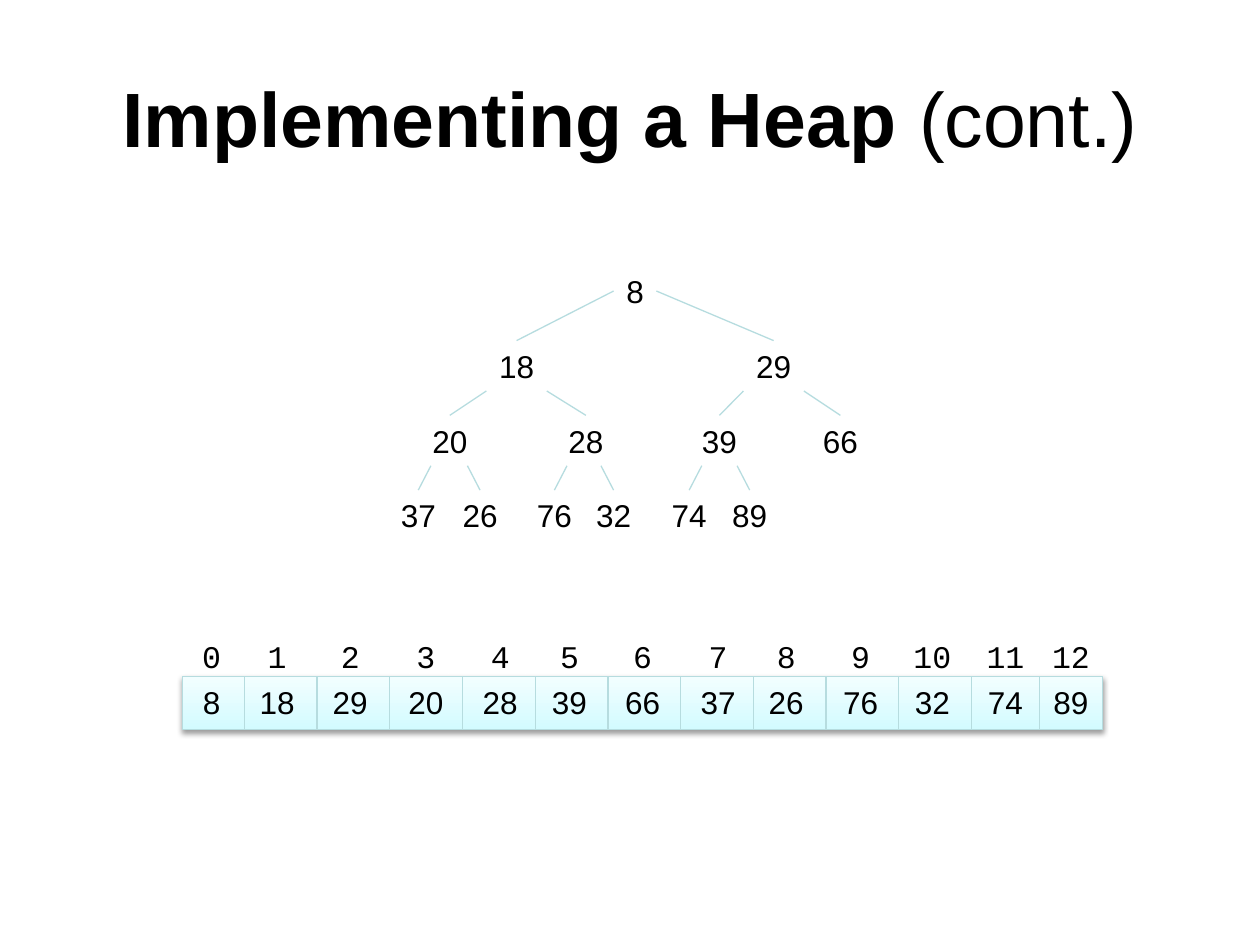
from lxml import etree
from pptx import Presentation, util as u
from pptx.dml.color import RGBColor
from pptx.enum import shapes, text as t
from pptx.oxml import ns

BLACK = RGBColor(0, 0, 0)
EDGE = RGBColor(0xB6, 0xDC, 0xDF)
DEEP = RGBColor(0xD3, 0xFB, 0xFF)
PALE = RGBColor(0xF2, 0xFE, 0xFF)

COLS, ROWS = 100, 75
CELL = u.Inches(0.1)
HIGH = 4
HEAP = (8, 18, 29, 20, 28, 39, 66, 37, 26, 76, 32, 74, 89)
SPOTS = (19.6, 10.2, 30.6, 4.9, 15.7, 26.3, 35.9,
         2.4, 7.3, 13.2, 17.9, 23.9, 28.7)
MIDS = (2.3, 7.5, 13.3, 19.3, 25.2, 30.7, 36.5,
        42.5, 47.9, 53.8, 59.5, 65.3, 70.5)


def grid(*nums):
    """Turn grid counts into slide lengths."""
    return [round(n * CELL) for n in nums]


def write(para, text, size=18, font="Arial", bold=False):
    """Add one formatted run to a paragraph."""
    run = para.add_run()
    run.text = str(text)
    run.font.size = u.Pt(size)
    run.font.name = font
    run.font.bold = bold
    run.font.color.rgb = BLACK


def label(page, box, text, wrap=False, **form):
    """Place centred text in a box."""
    item = page.shapes.add_textbox(*grid(*box))
    frame = item.text_frame
    frame.word_wrap = wrap
    frame.auto_size = (t.MSO_AUTO_SIZE.NONE if wrap
                       else t.MSO_AUTO_SIZE.SHAPE_TO_FIT_TEXT)
    frame.vertical_anchor = t.MSO_ANCHOR.MIDDLE if wrap else t.MSO_ANCHOR.TOP
    para = frame.paragraphs[0]
    para.alignment = t.PP_ALIGN.CENTER
    write(para, text, **form)
    return item


def link(page, *ends):
    """Draw a thin straight line."""
    line = page.shapes.add_connector(shapes.MSO_CONNECTOR.STRAIGHT, *grid(*ends))
    line.line.color.rgb = EDGE
    line.line.width = u.Pt(0.75)
    etree.SubElement(line._element.spPr, ns.qn("a:effectLst"))
    return line


def title(page, box):
    """Place the two-weight title."""
    item = label(page, box, "Implementing a Heap ", wrap=True, size=44, bold=True)
    write(item.text_frame.paragraphs[0], "(cont.)", size=44)


def tree(page, box):
    """Place the heap as a binary tree."""
    left, top, wide, high = box
    step = (high - HIGH) / 3
    nodes = []
    for i, (key, spot) in enumerate(zip(HEAP, SPOTS)):
        level = (i + 1).bit_length() - 1
        mid, y = left + spot, top + level * step
        size = 4.8 if i else 3.4
        node = label(page, (mid - size / 2, y, size, HIGH), key)
        nodes.append(node)
        if not i:
            continue
        up = (i - 1) // 2
        side = -1 if i % 2 else 1
        base = left + SPOTS[up]
        reach = min((1.7, 2.4, wide)[level - 1], abs(mid - base) - 1)
        line = link(page, base + side * reach, y - step + HIGH, mid, y)
        if not up:
            line.begin_connect(nodes[0], 1 if side < 0 else 3)
        line.end_connect(node, 0)


def array(page, box):
    """Place the heap as an indexed array."""
    left, top, wide, high = box
    bar = page.shapes.add_shape(shapes.MSO_SHAPE.RECTANGLE, *grid(*box))
    bar.fill.gradient()
    bar.fill.gradient_angle = 90
    for stop, hue in zip(bar.fill.gradient_stops, (DEEP, PALE)):
        stop.color.rgb = hue
    bar.line.color.rgb = EDGE
    bar.line.width = u.Pt(0.75)
    bar.shadow.inherit = False
    glow = etree.SubElement(
        bar._element.spPr.find(ns.qn("a:effectLst")), ns.qn("a:outerShdw"),
        blurRad="40000", dist="20000", dir="5400000", rotWithShape="0")
    tone = etree.SubElement(glow, ns.qn("a:srgbClr"), val=str(BLACK))
    etree.SubElement(tone, ns.qn("a:alpha"), val="38000")
    for x in [4.9 + 5.77 * i for i in range(11)] + [wide - 5]:
        link(page, left + x, top, left + x, top + high)
    for i, (key, mid) in enumerate(zip(HEAP, MIDS)):
        x = left + mid - 2.5
        label(page, (x, top - 3.6, 5, HIGH), i, font="Courier New")
        label(page, (x, top, 5, HIGH), key)


def main():
    """Build and save the slide."""
    deck = Presentation()
    deck.slide_width, deck.slide_height = grid(COLS, ROWS)
    page = deck.slides.add_slide(deck.slide_layouts[6])
    title(page, (5, 3, 90, 12.5))
    tree(page, (30.8, 21.1, 38.3, 21.8))
    array(page, (14.5, 53.7, 73, 4.2))
    deck.save("out.pptx")


if __name__ == "__main__":
    main()
